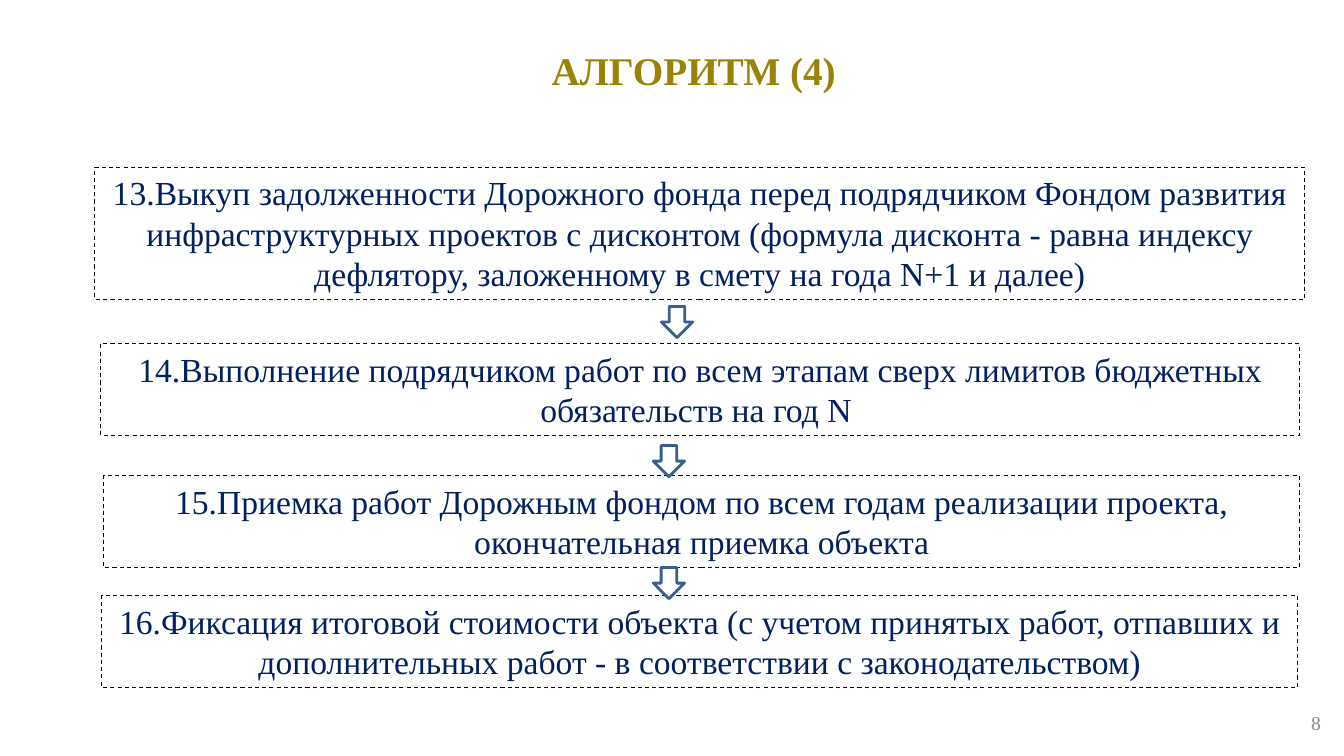
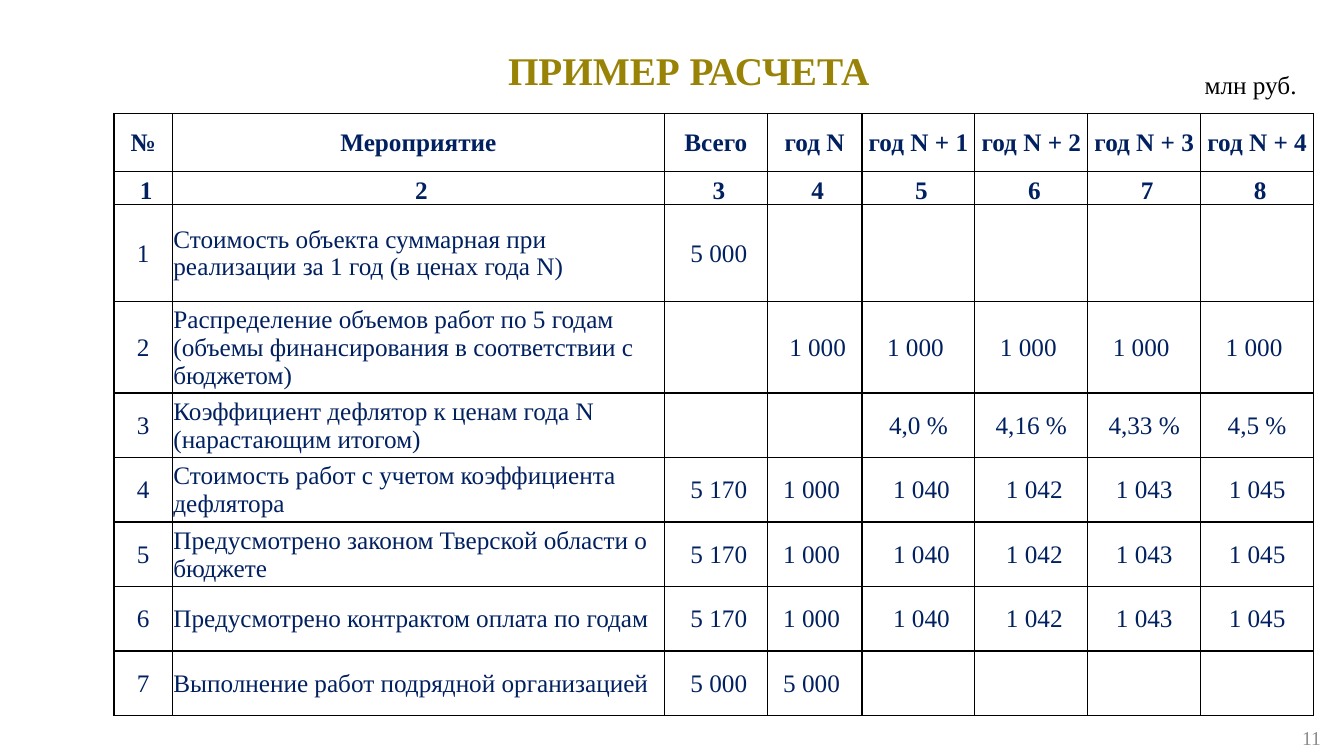
from lxml.etree import SubElement
from pptx import Presentation
from pptx.dml.color import RGBColor
from pptx.enum.dml import MSO_LINE
from pptx.enum.shapes import MSO_SHAPE
from pptx.enum.text import MSO_ANCHOR, PP_ALIGN
from pptx.oxml.ns import qn
from pptx.util import Inches, Pt

COLORS = {"title": "998307", "text": "002060", "number": "8C8C8C",
          "black": "000000", "white": "FFFFFF", "arrow": "3A5F8C"}
FONT = "Times New Roman"
TITLE_BOX = (1.35, 0.41, 11.06, 0.57)
SPACE = 0.06

STEPS = [
    ((0.94, 1.66, 12, 1.31),
     "13.Выкуп задолженности Дорожного фонда перед подрядчиком Фондом развития "
     "инфраструктурных проектов с дисконтом (формула дисконта - равна индексу "
     "дефлятору, заложенному в смету на года N+1 и далее)"),
    ((1, 3.41, 11.89, 0.91),
     "14.Выполнение подрядчиком работ по всем этапам сверх лимитов бюджетных "
     "обязательств на год N "),
    ((1.03, 4.72, 11.86, 0.91),
     "15.Приемка работ Дорожным фондом по всем годам реализации проекта, "
     "окончательная приемка объекта"),
    ((1.01, 5.91, 11.86, 0.91),
     "16.Фиксация итоговой стоимости объекта (с учетом принятых работ, отпавших и "
     "дополнительных работ - в соответствии с законодательством)"),
]
ARROWS = [(6.56, 3.04), (6.48, 4.42), (6.48, 5.63)]

COLS = [0.58, 4.88, 1.02, 0.94] + [1.12] * 4
ROWS = [0.57, 0.33, 0.96] + [0.64] * 6
YEARLY = ["5 170", "1 000", "1 040", "1 042", "1 043", "1 045"]
CELLS = [
    ["№", "Мероприятие", "Всего", "год N"] + [f"год N + {n}" for n in range(1, 5)],
    [str(n) for n in range(1, 9)],
    ["1", "Стоимость объекта суммарная при реализации за 1 год (в ценах года N)",
     "5 000"] + [""] * 5,
    ["2", "Распределение объемов работ по 5 годам (объемы финансирования в "
     "соответствии с бюджетом)", ""] + ["1 000"] * 5,
    ["3", "Коэффициент дефлятор к ценам года N (нарастающим итогом)", "", "",
     "4,0 %", "4,16 %", "4,33 %", "4,5 %"],
    ["4", "Стоимость работ с учетом коэффициента дефлятора"] + YEARLY,
    ["5", "Предусмотрено законом Тверской области о бюджете"] + YEARLY,
    ["6", "Предусмотрено контрактом оплата по годам"] + YEARLY,
    ["7", "Выполнение работ подрядной организацией", "5 000", "5 000"] + [""] * 4,
]
SHIFTS = {1: [1] * 8, 3: [0, 0, 0, 1, -1, -1, -1, -1], 4: [0] * 8}
VALUE_SHIFT = [0, 0, 1, -1, 1, 1, 0, 0]


def rgb(name):
    """Return the named colour."""
    return RGBColor.from_string(COLORS[name])


def write(tf, text, size, color, align=PP_ALIGN.CENTER, bold=False):
    """Write one formatted paragraph into a text frame."""
    tf.word_wrap = True
    p = tf.paragraphs[0]
    p.alignment = align
    r = p.add_run()
    r.text = text
    for name, value in {"name": FONT, "size": Pt(size), "bold": bold}.items():
        setattr(r.font, name, value)
    r.font.color.rgb = rgb(color)


def add_text(s, box, *args, anchor=MSO_ANCHOR.TOP, **formats):
    """Add a text box."""
    tf = s.shapes.add_textbox(*map(Inches, box)).text_frame
    tf.vertical_anchor = anchor
    write(tf, *args, **formats)


def add_slide(prs, title, number, number_top):
    """Add a blank slide with its title and number."""
    s = prs.slides.add_slide(prs.slide_layouts[6])
    add_text(s, TITLE_BOX, title, 28, "title", bold=True)
    add_text(s, (10.09, number_top, 3.11, 0.4), number, 14, "number",
             align=PP_ALIGN.RIGHT, anchor=MSO_ANCHOR.MIDDLE)
    return s


def add_outline(s, kind, box, color, width):
    """Add a preset shape with a plain outline."""
    sp = s.shapes.add_shape(kind, *map(Inches, box))
    sp.shadow.inherit = False
    sp.line.color.rgb = rgb(color)
    sp.line.width = Pt(width)
    return sp


def add_step(s, box, text):
    """Add a dashed step of the algorithm."""
    sp = add_outline(s, MSO_SHAPE.RECTANGLE, box, "black", 0.75)
    sp.fill.background()
    sp.line.dash_style = MSO_LINE.DASH
    sp.text_frame.vertical_anchor = MSO_ANCHOR.TOP
    write(sp.text_frame, text, 24, "text")


def add_arrow(s, left, top, size=0.31):
    """Add an arrow leading down to the next step."""
    sp = add_outline(s, MSO_SHAPE.DOWN_ARROW, (left, top, size, size), "arrow", 2)
    sp.fill.solid()
    sp.fill.fore_color.rgb = rgb("white")


def add_borders(cell, width=1):
    """Draw all four borders of a cell."""
    tc_pr = cell._tc.get_or_add_tcPr()
    for side in ("lnL", "lnR", "lnT", "lnB"):
        ln = SubElement(tc_pr, qn(f"a:{side}"), w=str(Pt(width)))
        fill = SubElement(ln, qn("a:solidFill"))
        SubElement(fill, qn("a:srgbClr"), val=COLORS["black"])


def fill_cell(cell, text, shift, align, anchor, bold):
    """Format a cell, moving its text by a number of half spaces."""
    add_borders(cell)
    cell.fill.solid()
    cell.fill.fore_color.rgb = rgb("white")
    formats = {"margin_left": Inches(0.01 + SPACE * max(shift, 0)),
               "margin_right": Inches(0.01 + SPACE * max(-shift, 0)),
               "margin_top": Inches(0.01), "margin_bottom": 0,
               "vertical_anchor": anchor}
    for name, value in formats.items():
        setattr(cell, name, value)
    if text:
        write(cell.text_frame, text, 18, "text", align=align, bold=bold)


def add_calculation(s, left, top):
    """Add the calculation table."""
    box = (left, top, sum(COLS), sum(ROWS))
    table = s.shapes.add_table(len(ROWS), len(COLS), *map(Inches, box)).table
    table.first_row = table.horz_banding = False
    for col, width in zip(table.columns, COLS):
        col.width = Inches(width)
    for i, (row, height) in enumerate(zip(table.rows, ROWS)):
        row.height = Inches(height)
        shifts = SHIFTS.get(i, VALUE_SHIFT if i else [0] * len(COLS))
        anchor = MSO_ANCHOR.BOTTOM if i == 1 else MSO_ANCHOR.MIDDLE
        for j, cell in enumerate(row.cells):
            align = PP_ALIGN.LEFT if i > 1 and j == 1 else PP_ALIGN.CENTER
            fill_cell(cell, CELLS[i][j], shifts[j], align, anchor, i < 2)


def build_algorithm(prs):
    """Build the slide with the steps of the algorithm."""
    s = add_slide(prs, "АЛГОРИТМ (4)", "8", 6.97)
    for box, text in STEPS:
        add_step(s, box, text)
    for left, top in ARROWS:
        add_arrow(s, left, top)


def build_example(prs):
    """Build the slide with the example calculation."""
    s = add_slide(prs, "ПРИМЕР РАСЧЕТА ", "11", 7.12)
    add_calculation(s, 1.13, 1.13)
    add_text(s, (11.85, 0.64, 1.27, 0.4), "млн руб.", 18, "black",
             align=PP_ALIGN.LEFT)


def main():
    """Build and save the presentation."""
    prs = Presentation()
    prs.slide_width, prs.slide_height = Inches(13.33), Inches(7.5)
    build_algorithm(prs)
    build_example(prs)
    prs.save("out.pptx")


if __name__ == "__main__":
    main()
